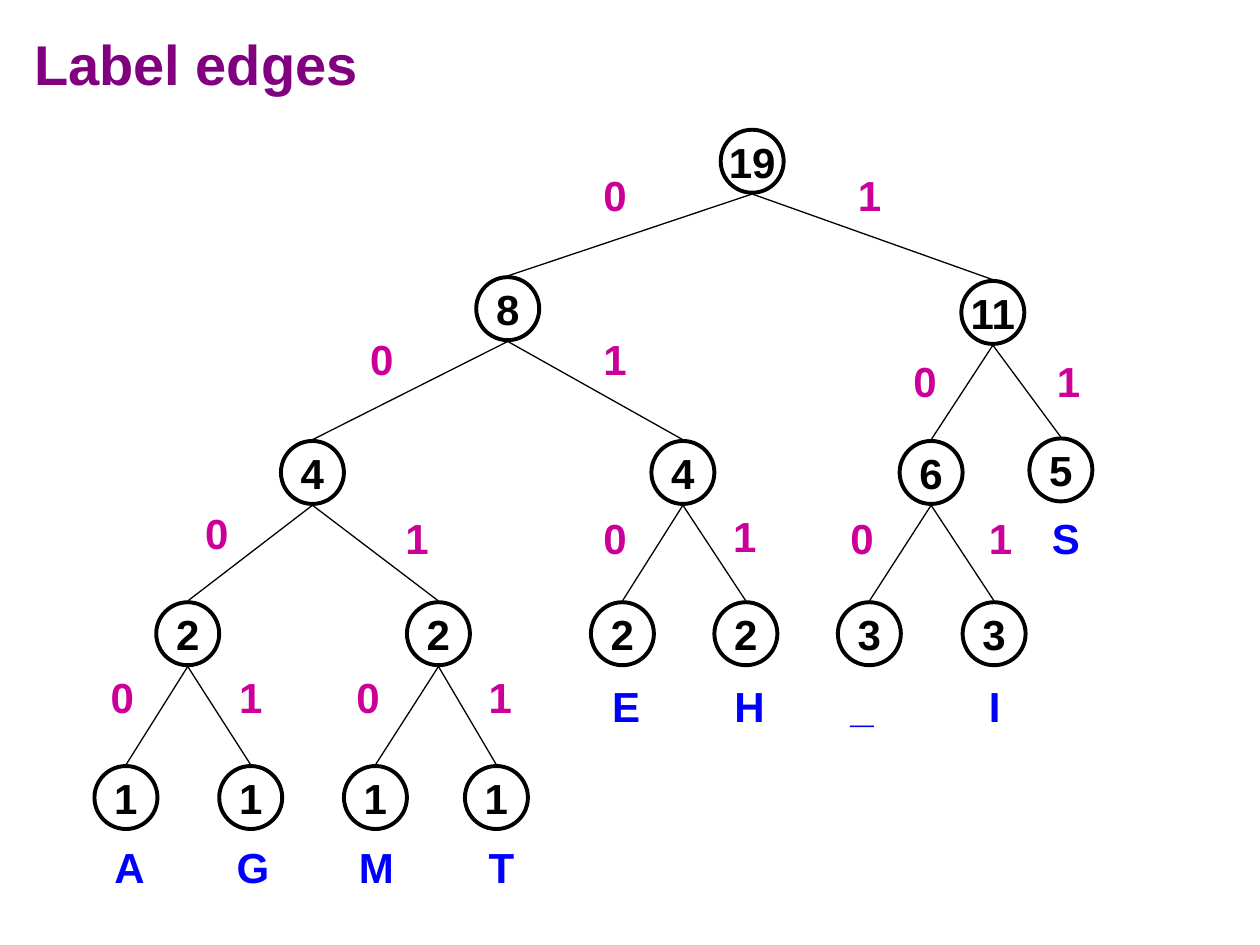
from dataclasses import dataclass

from lxml import etree
from pptx import Presentation
from pptx import util as u
from pptx.dml.color import RGBColor
from pptx.enum import shapes as es, text as et
from pptx.oxml.ns import qn


@dataclass(frozen=True)
class Theme:
    font: str = "Arial"
    title: str = "800080"
    ink: str = "000000"
    bit: str = "CC0099"
    mark: str = "0000FF"
    head: float = 32
    body: float = 24
    ring: float = 2.25
    edge: float = 0.75


@dataclass(frozen=True)
class Label:
    text: str
    col: float
    row: float


@dataclass(frozen=True)
class Node:
    count: int
    col: float
    row: float
    bit: tuple[float, float] | None = None  # place of the label on the edge above
    mark: Label | None = None
    kids: tuple["Node", ...] = ()


THEME = Theme()

# Grid of 100 columns by 75 rows
COLS, ROWS = 100, 75
WIDE, HIGH = u.Inches(10), u.Inches(7.5)
SIZE = 5  # node diameter in cells
GAP = 0.1  # between a node and its edges

# Glyph widths in ems, used to size the labels
EMS = {"A": 0.72, "E": 0.67, "G": 0.78, "H": 0.72, "I": 0.28,
       "M": 0.83, "S": 0.67, "T": 0.61}
DIGIT = 0.56

# Rows of the tree levels and of the letters under the leaves
L1, L2, L3, L4, L5 = 10.3, 22, 35, 47.8, 60.8
MID, LOW = 53.5, 66.3

TREE = Node(19, 57.2, L1, kids=(
    Node(8, 37.8, L2, (46.9, 13), kids=(
        Node(4, 22.3, L3, (28.4, 26), kids=(
            Node(2, 12.4, L4, (15.3, 39.8), kids=(
                Node(1, 7.5, L5, (7.8, 52.8), Label("A", 8.1, LOW)),
                Node(1, 17.4, L5, (18, 52.8), Label("G", 17.8, LOW)))),
            Node(2, 32.3, L4, (31.2, 40.2), kids=(
                Node(1, 27.3, L5, (27.3, 52.8), Label("M", 27.5, LOW)),
                Node(1, 36.9, L5, (37.8, 52.8), Label("T", 37.8, LOW)))))),
        Node(4, 51.7, L3, (46.9, 26), kids=(
            Node(2, 46.9, L4, (46.9, 40.2), Label("E", 47.6, MID)),
            Node(2, 56.7, L4, (57.2, 40), Label("H", 57.3, MID)))))),
    Node(11, 76.3, 22.3, (67.1, 13), kids=(
        Node(6, 71.4, L3, (71.5, 27.7), kids=(
            Node(3, 66.5, L4, (66.5, 40.2), Label("_", 66.5, MID)),
            Node(3, 76.4, L4, (77.5, 40.2), Label("I", 77.5, MID)))),
        Node(5, 81.7, 34.8, (82.9, 27.7), Label("S", 82.5, 40.2))))))


def across(cols: float) -> int:
    return round(WIDE * cols / COLS)


def down(rows: float) -> int:
    return round(HIGH * rows / ROWS)


def write(frame, words: str, size: float, color: str, align) -> None:
    frame.text = words
    para = frame.paragraphs[0]
    para.alignment = align
    font = para.font
    font.name, font.size, font.bold = THEME.font, u.Pt(size), True
    font.color.rgb = RGBColor.from_string(color)


def add_label(slide, label: Label, color: str) -> None:
    ems = EMS.get(label.text, DIGIT)
    width = u.Inches(0.2 + ems * THEME.body / 72)
    box = slide.shapes.add_textbox(across(label.col), down(label.row), width, down(SIZE))
    frame = box.text_frame
    frame.word_wrap = False
    frame.auto_size = et.MSO_AUTO_SIZE.SHAPE_TO_FIT_TEXT
    write(frame, label.text, THEME.body, color, et.PP_ALIGN.LEFT)


def add_edge(slide, top: Node, kid: Node) -> None:
    half = SIZE / 2
    line = slide.shapes.add_connector(
        es.MSO_CONNECTOR.STRAIGHT,
        across(kid.col + half), down(kid.row - GAP),
        across(top.col + half), down(top.row + SIZE + GAP))
    line.line.color.rgb = RGBColor.from_string(THEME.ink)
    line.line.width = u.Pt(THEME.edge)
    etree.SubElement(line._element.spPr, qn("a:effectLst"))


def add_node(slide, node: Node) -> None:
    ring = slide.shapes.add_shape(
        es.MSO_SHAPE.FLOWCHART_CONNECTOR,
        across(node.col), down(node.row), across(SIZE), down(SIZE))
    ring.shadow.inherit = False
    ring.fill.background()
    ring.line.color.rgb = RGBColor.from_string(THEME.ink)
    ring.line.width = u.Pt(THEME.ring)
    frame = ring.text_frame
    frame.word_wrap = False
    frame.vertical_anchor = et.MSO_ANCHOR.MIDDLE
    write(frame, str(node.count), THEME.body, THEME.ink, et.PP_ALIGN.CENTER)


def add_tree(slide, node: Node) -> None:
    add_node(slide, node)
    if node.mark:
        add_label(slide, node.mark, THEME.mark)
    # Left edges carry 0, right edges 1
    for bit, kid in enumerate(node.kids):
        add_edge(slide, node, kid)
        add_label(slide, Label(str(bit), *kid.bit), THEME.bit)
        add_tree(slide, kid)


def add_title(slide, words: str) -> None:
    title = slide.shapes.title
    title.left, title.top = across(1.7), down(0.4)
    title.width, title.height = across(96.7), down(9.2)
    frame = title.text_frame
    frame.auto_size = et.MSO_AUTO_SIZE.NONE
    frame.vertical_anchor = et.MSO_ANCHOR.MIDDLE
    write(frame, words, THEME.head, THEME.title, et.PP_ALIGN.LEFT)


def main() -> None:
    deck = Presentation()
    deck.slide_width, deck.slide_height = WIDE, HIGH
    slide = deck.slides.add_slide(deck.slide_layouts.get_by_name("Title Only"))
    add_title(slide, "Label edges")
    add_tree(slide, TREE)
    deck.save("out.pptx")


if __name__ == "__main__":
    main()
